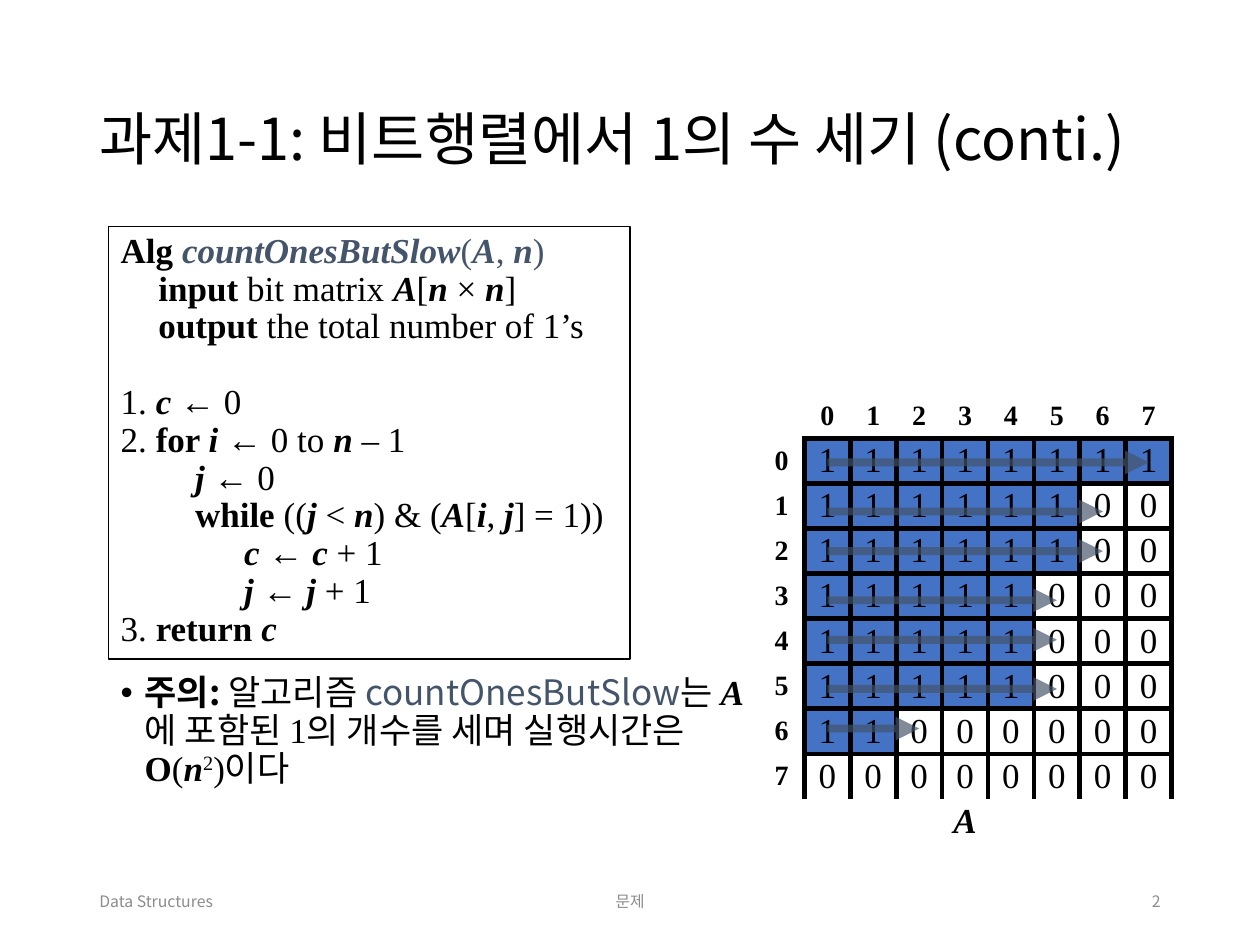
import dataclasses
import pptx
import pptx.dml.color
import pptx.enum.dml
import pptx.enum.shapes
import pptx.enum.text
import pptx.oxml
import pptx.oxml.ns
import pptx.util
import lxml.etree

ALIGN = pptx.enum.text.PP_ALIGN
ANCHOR = pptx.enum.text.MSO_ANCHOR


@dataclasses.dataclass(frozen=True)
class Theme:
    ink: str = "000000"
    accent: str = "44546A"
    muted: str = "8C8C8C"
    one: str = "4472C4"
    zero: str = "FFFFFF"
    sans: str = "Noto Sans CJK KR"
    serif: str = "Times New Roman"
    title: int = 33
    body: int = 20
    index: int = 16
    footer: int = 9
    line_spacing: float = 0.9


@dataclasses.dataclass(frozen=True)
class Box:
    column: float
    row: float
    columns: float
    rows: float

    def place(self):
        return [cell(v) for v in (self.column, self.row, self.columns, self.rows)]


THEME = Theme()
GRID_COLUMNS, GRID_ROWS = 100, 75
ALGORITHM = [
    "b:Alg ~bia:countOnesButSlow~a:(~bia:A~a:, ~bia:n~a:)",
    ":\t~b:input~: bit matrix ~bi:A~:[~bi:n ~:× ~bi:n~:]",
    ":\t~b:output~: the total number of 1’s",
    ":1. ~bi:c ~:← 0",
    ":2. ~b:for ~bi:i ~:← 0 to ~bi:n~: – 1",
    "bi:\t\tj ~:← 0",
    ":\t\t~b:while~: ((~bi:j ~:< ~bi:n~:) & (~bi:A~:[~bi:i~:, ~bi:j~:] = 1))",
    "bi:\t\t\tc~: ← ~bi:c~: + 1",
    "bi:\t\t\tj~: ← ~bi:j~: + 1",
    ":3. ~b:return ~bi:c",
]
FIRST_STEP = 3
TAB_STOPS = [0.3, 0.59, 0.98, 1.37, 1.76, 2.25, 2.65, 3.05]
NOTE = ("kb:주의: ~k:알고리즘 ~ka:countOnesButSlow~k:는 ~bi:A~k:에 포함된 ~:1"
        "~k:의 개수를 세며 실행시간은 ~b:O~:(~bi:n~s:2~:)~k:이다")
ONES_PER_ROW = [8, 6, 6, 5, 5, 5, 2, 0]


def cell(count):
    return pptx.util.Inches(count / 10)


def rgb(color):
    return pptx.dml.color.RGBColor.from_string(color)


def add_xml(parent, tag, **attributes):
    return lxml.etree.SubElement(parent, pptx.oxml.ns.qn(tag), attributes)


def style_span(span, size, face, color, bold=False, italic=False):
    font = span.font
    font.size, font.name = pptx.util.Pt(size), face
    font.bold, font.italic = bold, italic
    font.color.rgb = rgb(color)
    add_xml(span._r.get_or_add_rPr(), "a:ea", typeface=face)


def write_spans(para, markup, size):
    for piece in markup.split("~"):
        code, _, words = piece.partition(":")
        span = para.add_run()
        span.text = words
        style_span(span, size, THEME.sans if "k" in code else THEME.serif,
                   THEME.accent if "a" in code else THEME.ink, "b" in code, "i" in code)
        if "s" in code:
            span._r.get_or_add_rPr().set("baseline", "30000")


def add_label(page, box, words, size, color, align=ALIGN.LEFT):
    frame = page.shapes.add_textbox(*box.place()).text_frame
    frame.word_wrap, frame.vertical_anchor = True, ANCHOR.MIDDLE
    frame.text = words
    para = frame.paragraphs[0]
    para.alignment = align
    style_span(para.runs[0], size, THEME.sans, color)
    return para


def add_title(page, box):
    para = add_label(page, box, "과제1-1: 비트행렬에서 1의 수 세기 (conti.)", THEME.title, THEME.ink)
    para.line_spacing = THEME.line_spacing


def add_algorithm(page, box):
    panel = page.shapes.add_shape(pptx.enum.shapes.MSO_SHAPE.RECTANGLE, *box.place())
    panel.shadow.inherit = False
    panel.fill.background()
    panel.line.color.rgb, panel.line.width = rgb(THEME.ink), pptx.util.Pt(0.75)
    frame = panel.text_frame
    frame.word_wrap, frame.vertical_anchor = True, ANCHOR.TOP
    for number, markup in enumerate(ALGORITHM):
        para = frame.add_paragraph() if number else frame.paragraphs[0]
        para.alignment, para.line_spacing = ALIGN.LEFT, THEME.line_spacing
        if number == FIRST_STEP:
            para.space_before = pptx.util.Pt(21.6)
        tabs = add_xml(para._p.get_or_add_pPr(), "a:tabLst")
        for stop in TAB_STOPS:
            add_xml(tabs, "a:tab", pos=str(pptx.util.Inches(stop)), algn="l")
        write_spans(para, markup, THEME.body)


def add_note(page, box):
    frame = page.shapes.add_textbox(*box.place()).text_frame
    frame.word_wrap = True
    para = frame.paragraphs[0]
    para.line_spacing, para.space_before = THEME.line_spacing, pptx.util.Pt(7.5)
    properties = para._p.get_or_add_pPr()
    indent = pptx.util.Inches(0.19)
    properties.set("marL", str(indent))
    properties.set("indent", str(-indent))
    add_xml(properties, "a:buFont", typeface="Arial")
    add_xml(properties, "a:buChar", char="•")
    write_spans(para, NOTE, THEME.body)


def in_matrix(row, column):
    return 1 <= row <= 8 and 1 <= column <= 8


def draw_borders(item, row, column):
    properties = item._tc.get_or_add_tcPr()
    for side, down, right in (("L", 0, -1), ("R", 0, 1), ("T", -1, 0), ("B", 1, 0)):
        edge = add_xml(properties, "a:ln" + side, w=str(pptx.util.Pt(3)))
        if in_matrix(row, column) or in_matrix(row + down, column + right):
            add_xml(add_xml(edge, "a:solidFill"), "a:srgbClr", val=THEME.ink)
        else:
            add_xml(edge, "a:noFill")


def fill_cell(item, words, size, color=None, bold=False, italic=False):
    item.margin_left = item.margin_right = item.margin_top = item.margin_bottom = 0
    item.vertical_anchor = ANCHOR.MIDDLE
    if color:
        item.fill.solid()
        item.fill.fore_color.rgb = rgb(color)
    else:
        item.fill.background()
    if words:
        item.text_frame.text = words
        para = item.text_frame.paragraphs[0]
        para.alignment = ALIGN.CENTER
        style_span(para.runs[0], size, THEME.serif, THEME.ink, bold, italic)


def add_matrix(page, box):
    table = page.shapes.add_table(10, 9, *box.place()).table
    table.first_row = table.horz_banding = False
    for band in table.columns:
        band.width = cell(box.columns / 9)
    for band in table.rows:
        band.height = cell(box.rows / 10)
    for row in range(10):
        for column in range(9):
            item = table.cell(row, column)
            draw_borders(item, row, column)
            if in_matrix(row, column):
                one = column <= ONES_PER_ROW[row - 1]
                fill_cell(item, "1" if one else "0", THEME.body, THEME.one if one else THEME.zero)
            else:
                index = str(row + column - 1) if row < 9 and row + column else ""
                fill_cell(item, index, THEME.index, bold=True)
    table.cell(9, 0).merge(table.cell(9, 8))
    fill_cell(table.cell(9, 0), "A", THEME.body, bold=True, italic=True)


def add_scans(page, box):
    pitch = box.columns / 9
    left = box.column + 1.5 * pitch
    for row, ones in enumerate(ONES_PER_ROW):
        if not ones:
            continue
        level = box.row + 5.5 + 7.04 * (row // 2) + 3.9 * (row % 2)
        right = left + pitch * min(ones, 7)
        arrow = page.shapes.add_connector(pptx.enum.shapes.MSO_CONNECTOR.STRAIGHT,
                                          cell(left), cell(level), cell(right), cell(level))
        arrow.line.width = pptx.util.Pt(4.5)
        arrow.line.color.rgb = rgb(THEME.accent)
        line = arrow.line._get_or_add_ln()
        add_xml(line.find(".//" + pptx.oxml.ns.qn("a:srgbClr")), "a:alpha", val="67000")
        add_xml(line, "a:tailEnd", type="triangle")
        add_xml(arrow._element.spPr, "a:effectLst")


def add_footer(page, box):
    parts = [("Data Structures", 0, 22.5, ALIGN.LEFT), ("문제", 26.2, 33.8, ALIGN.CENTER),
             ("2", 63.7, 22.5, ALIGN.RIGHT)]
    for words, offset, columns, align in parts:
        add_label(page, Box(box.column + offset, box.row, columns, box.rows),
                  words, THEME.footer, THEME.muted, align)


deck = pptx.Presentation()
deck.slide_width, deck.slide_height = cell(GRID_COLUMNS), cell(GRID_ROWS)
page = deck.slides.add_slide(deck.slide_layouts[6])
matrix_box = Box(60.2, 31.2, 32.8, 35.8)
add_title(page, Box(6.9, 4, 86.2, 14.5))
add_note(page, Box(8.6, 53.1, 51.6, 13.5))
add_footer(page, Box(6.9, 69.5, 86.2, 4))
add_matrix(page, matrix_box)
add_algorithm(page, Box(8.6, 18, 41.4, 34.3))
add_scans(page, matrix_box)
deck.save("out.pptx")
